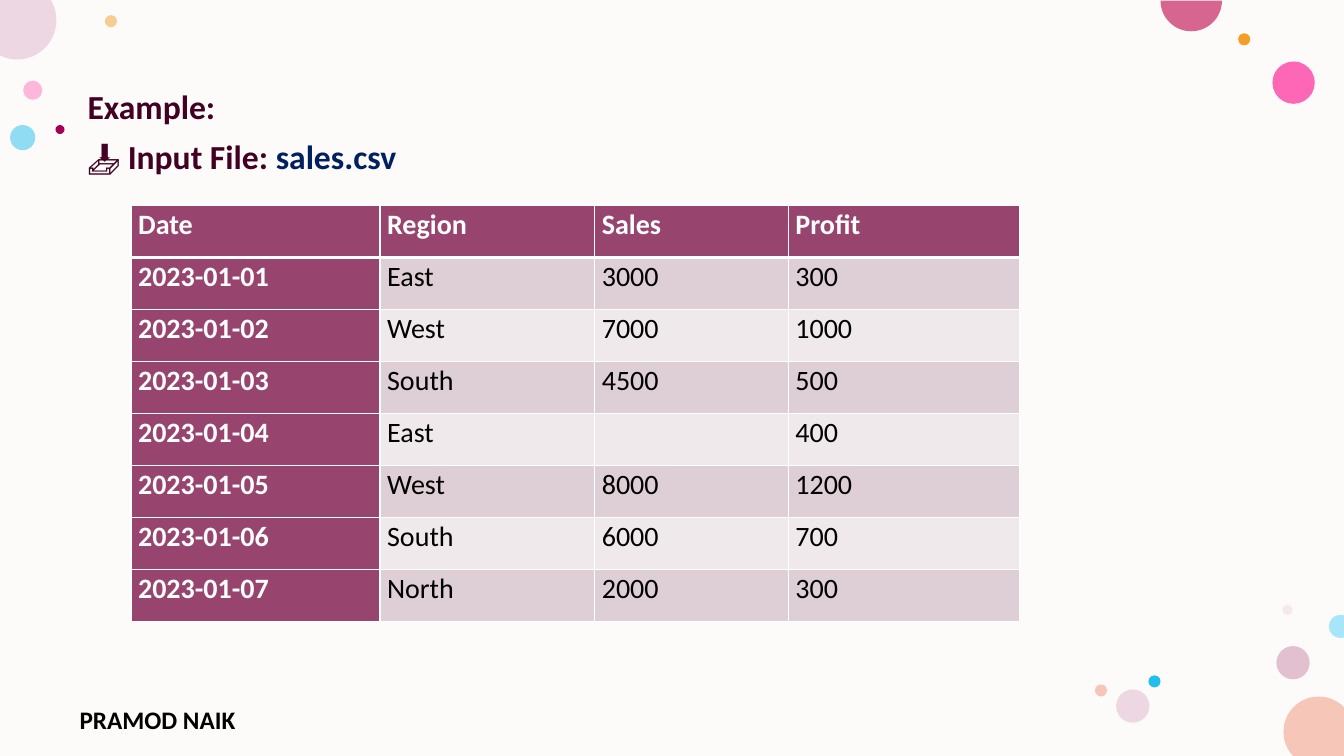
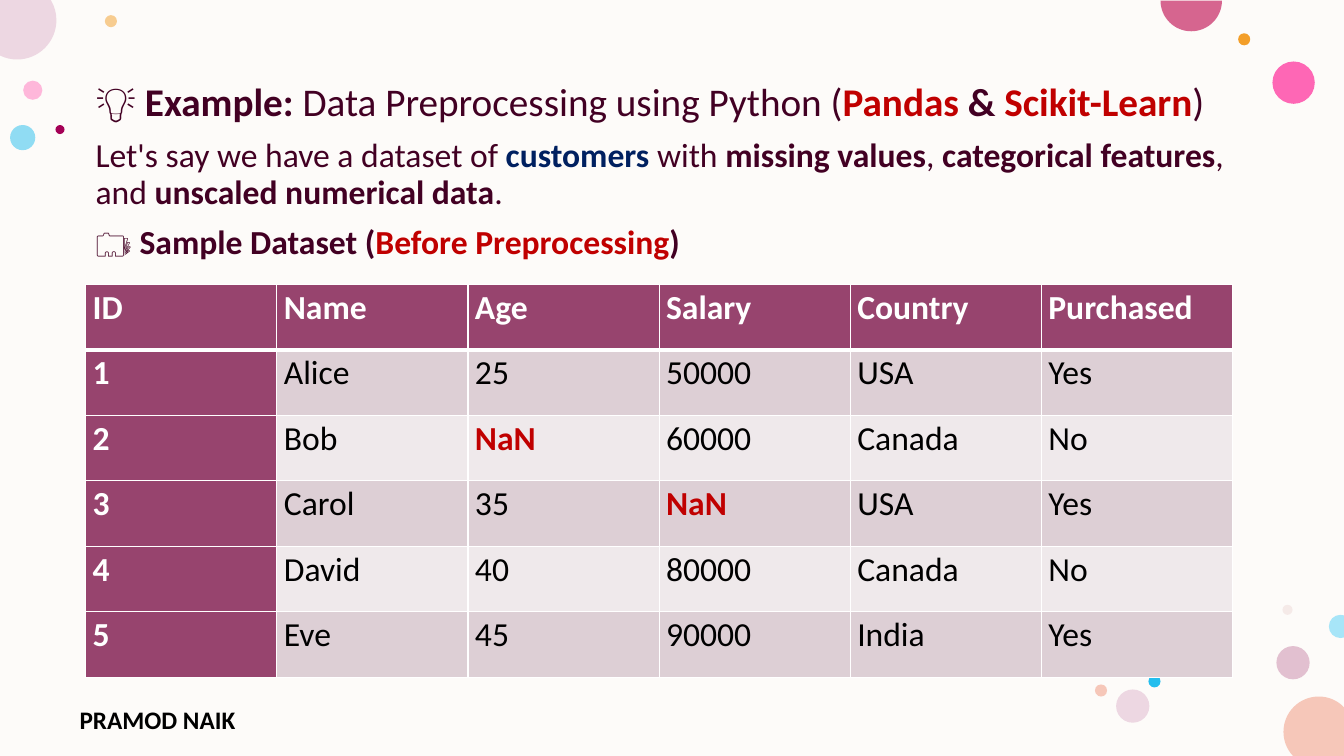
"""Two slides on sample data tables for data preprocessing."""
from math import cos, pi, radians, sin, tan

from pptx import Presentation
from pptx.dml.color import RGBColor
from pptx.enum.shapes import MSO_SHAPE as Shape
from pptx.oxml import parse_xml
from pptx.oxml.ns import nsdecls, qn
from pptx.util import Inches, Pt

W, H = 13.33, 7.5


class Theme:
    font = "Calibri"
    background = "FDFBF9"
    header, light, dark = "97446E", "EFE9EB", "DDCFD5"
    white, black = "FFFFFF", "000000"
    lead, body, table, footer = 28, 24, 20, 18
    thin, thick = 1, 3
    roles = {
        "plain": ("420023", False),
        "strong": ("420023", True),
        "file": ("002060", True),
        "alert": ("C00000", True),
        "head": (white, True),
        "cell": (black, False),
        "footer": (black, True),
    }


FOOTER = "PRAMOD NAIK"

# left, top, diameter, colour, opacity
DOTS = [
    (0.23, 0.8, 0.19, "FF75BD", 50),
    (1.04, 0.15, 0.12, "F39E29", 50),
    (12.66, 6.41, 0.33, "C987A8", 50),
    (0.1, 1.24, 0.25, "24BEEE", 50),
    (12.62, 0.61, 0.42, "FF2F9C", 72),
    (12.28, 0.33, 0.12, "F39E29", 100),
    (12.72, 6, 0.1, "E3BEBE", 28),
    (11.39, 6.7, 0.12, "24BEEE", 100),
    (11.07, 6.84, 0.33, "EDD7E2", 100),
    (10.86, 6.79, 0.12, "F6C7B9", 100),
    (0.55, 1.24, 0.09, "A40056", 100),
]

# left, top, diameter, colour, first and last angle, slide corners enclosed
EDGE_DOTS = [
    (12.73, 6.91, 0.7, "F6C7B9", 137, 316, [(W, H)]),
    (-0.22, -0.19, 0.78, "EDD7E2", -31, 116, [(0, 0)]),
    (11.51, -0.3, 0.61, "D6658F", 0, 180, []),
    (13.18, 6.1, 0.23, "A7E5F8", 72, 288, []),
]

SLIDES = [
    {
        "box": (0.77, 0.85, 11.92, 5.8),
        "text": [
            (Theme.body, [("Example:", "strong")]),
            (Theme.body, [("📥 Input File: ", "strong"), ("sales.csv", "file")]),
        ],
        "at": (1.3, 2.04),
        "cols": [2.47, 2.13, 1.92, 2.29],
        "row": 0.516,
        "size": Theme.table,
        "rows": [
            ("Date", "Region", "Sales", "Profit"),
            ("2023-01-01", "East", "3000", "300"),
            ("2023-01-02", "West", "7000", "1000"),
            ("2023-01-03", "South", "4500", "500"),
            ("2023-01-04", "East", "", "400"),
            ("2023-01-05", "West", "8000", "1200"),
            ("2023-01-06", "South", "6000", "700"),
            ("2023-01-07", "North", "2000", "300"),
        ],
    },
    {
        "box": (0.85, 0.77, 11.66, 5.98),
        "text": [
            (Theme.lead, [
                ("💡 Example: ", "strong"),
                ("Data Preprocessing using Python (", "plain"),
                ("Pandas", "alert"), (" & ", "strong"),
                ("Scikit-Learn", "alert"), (")", "plain"),
            ]),
            (Theme.body, [
                ("Let's say we have a dataset of ", "plain"),
                ("customers", "file"), (" with ", "plain"),
                ("missing values", "strong"), (", ", "plain"),
                ("categorical features", "strong"), (", and ", "plain"),
                ("unscaled numerical data", "strong"), (".", "plain"),
            ]),
            (Theme.body, [
                ("🗂 Sample Dataset (", "strong"),
                ("Before Preprocessing", "alert"), (")", "strong"),
            ]),
        ],
        "at": (0.85, 2.82),
        "cols": [1.896] * 6,
        "row": 0.65,
        "size": Theme.body,
        "rows": [
            ("ID", "Name", "Age", "Salary", "Country", "Purchased"),
            ("1", "Alice", "25", "50000", "USA", "Yes"),
            ("2", "Bob", "NaN", "60000", "Canada", "No"),
            ("3", "Carol", "35", "NaN", "USA", "Yes"),
            ("4", "David", "40", "80000", "Canada", "No"),
            ("5", "Eve", "45", "90000", "India", "Yes"),
        ],
    },
]


def paint(sp, colour, opacity=100):
    sp.shadow.inherit = False
    sp.line.fill.background()
    sp.fill.solid()
    sp.fill.fore_color.rgb = RGBColor.from_string(colour)
    if opacity < 100:
        clr = sp._element.spPr.find(".//" + qn("a:srgbClr"))
        clr.append(parse_xml(f'<a:alpha {nsdecls("a")} val="{opacity * 1000}"/>'))


def add_run(p, text, role, size):
    colour, bold = Theme.roles[role]
    r = p.add_run()
    r.text = text
    r.font.name, r.font.size, r.font.bold = Theme.font, Pt(size), bold
    r.font.color.rgb = RGBColor.from_string(colour)


def add_text(s, box, paragraphs, spacing=1.0):
    tf = s.shapes.add_textbox(*map(Inches, box)).text_frame
    tf.word_wrap = True
    for i, (size, runs) in enumerate(paragraphs):
        p = tf.add_paragraph() if i else tf.paragraphs[0]
        p.line_spacing = spacing
        p.space_before = Pt(10 if i else 0)
        for text, role in runs:
            add_run(p, text, role, size)


def add_shape(s, kind, box, colour, opacity=100):
    paint(s.shapes.add_shape(kind, *map(Inches, box)), colour, opacity)


def add_edge_dot(s, x, y, d, colour, first, last, corners):
    radius = d / 2
    quarters = [a for a in range(-360, 361, 90) if first < a < last]
    angles = [radians(a) for a in (first, *quarters, last)]

    def on_circle(angle, pull=0.0):
        px = x + radius * (1 + cos(angle) - pull * sin(angle))
        py = y + radius * (1 + sin(angle) + pull * cos(angle))
        return Inches(min(max(px, 0), W)), Inches(min(max(py, 0), H))

    points = [on_circle(a) for a in angles]
    points += [(Inches(cx), Inches(cy)) for cx, cy in corners]
    outline = s.shapes.build_freeform(*points[0])
    outline.add_line_segments(points[1:], close=True)
    sp = outline.convert_to_shape()
    sides = list(sp._element.iter(qn("a:lnTo")))
    for side, a, b in zip(sides, angles, angles[1:]):
        pull = 4 / 3 * tan((b - a) / 4)
        curve = (on_circle(a, pull), on_circle(b, -pull), on_circle(b))
        pts = "".join(f'<a:pt x="{px - sp.left}" y="{py - sp.top}"/>' for px, py in curve)
        side.getparent().replace(side, parse_xml(
            f'<a:cubicBezTo {nsdecls("a")}>{pts}</a:cubicBezTo>'))
    paint(sp, colour)


def add_backdrop(s):
    add_shape(s, Shape.RECTANGLE, (0, 0, W, H), Theme.background)
    for x, y, d, colour, opacity in DOTS:
        add_shape(s, Shape.OVAL, (x, y, d, d), colour, opacity)
    for dot in EDGE_DOTS:
        add_edge_dot(s, *dot)
    add_text(s, (0.69, 6.94, 2.45, 0.32), [(Theme.footer, [(FOOTER, "footer")])])


def set_borders(cell, top, bottom):
    widths = {"L": Theme.thin, "R": Theme.thin, "T": top, "B": bottom}
    for i, (side, width) in enumerate(widths.items()):
        cell._tc.get_or_add_tcPr().insert(i, parse_xml(
            f'<a:ln{side} {nsdecls("a")} w="{Pt(width)}"><a:solidFill>'
            f'<a:srgbClr val="{Theme.white}"/></a:solidFill></a:ln{side}>'))


def add_data_table(s, at, cols, row, size, rows):
    extent = (sum(cols), row * len(rows))
    table = s.shapes.add_table(len(rows), len(cols), *map(Inches, at + extent)).table
    table.first_col = True
    for column, width in zip(table.columns, cols):
        column.width = Inches(width)
    for i, values in enumerate(rows):
        table.rows[i].height = Inches(row)
        for j, value in enumerate(values):
            cell = table.cell(i, j)
            is_head = i == 0 or j == 0
            band = Theme.dark if i % 2 else Theme.light
            cell.fill.solid()
            cell.fill.fore_color.rgb = RGBColor.from_string(
                Theme.header if is_head else band)
            set_borders(cell, Theme.thick if i == 1 else Theme.thin,
                        Theme.thick if i == 0 else Theme.thin)
            cell.margin_left = cell.margin_right = Inches(0.07)
            cell.margin_top = cell.margin_bottom = 0
            p = cell.text_frame.paragraphs[0]
            p.line_spacing = 1.07
            if value:
                role = "head" if is_head else "alert" if value == "NaN" else "cell"
                add_run(p, value, role, size)


def main():
    prs = Presentation()
    prs.slide_width, prs.slide_height = Inches(W), Inches(H)
    for content in SLIDES:
        s = prs.slides.add_slide(prs.slide_layouts[6])
        add_backdrop(s)
        add_text(s, content["box"], content["text"], 0.9)
        add_data_table(s, *(content[k] for k in ("at", "cols", "row", "size", "rows")))
    prs.save("out.pptx")


if __name__ == "__main__":
    main()
